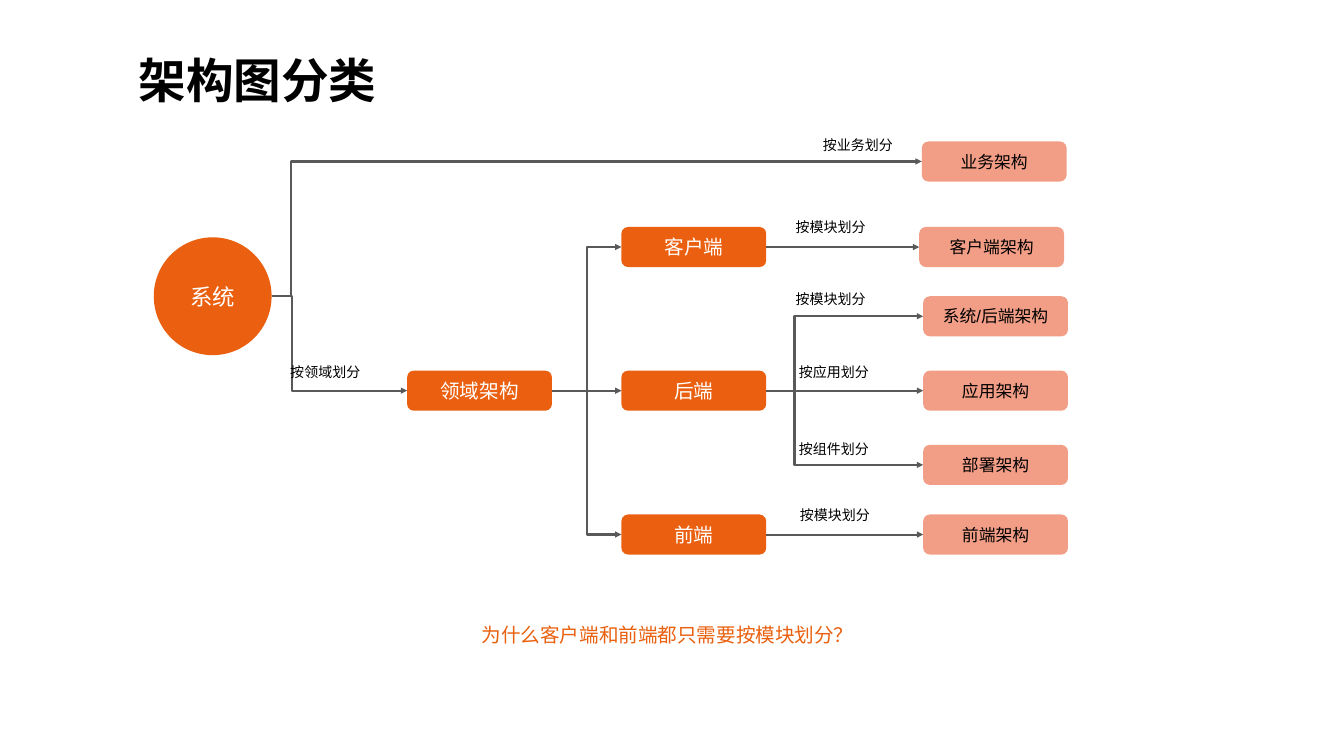
import pptx
import pptx.dml.color
import pptx.enum.shapes
import pptx.enum.text
import pptx.oxml
import pptx.oxml.ns
import pptx.util
from dataclasses import dataclass
from pptx.util import Cm

ANCHOR = pptx.enum.text.MSO_ANCHOR
ALIGN = pptx.enum.text.PP_ALIGN
SHAPE = pptx.enum.shapes.MSO_SHAPE
CONNECTOR = pptx.enum.shapes.MSO_CONNECTOR


@dataclass(frozen=True)
class Theme:
    primary: str = "EA6010"
    soft: str = "F29D86"
    line: str = "595959"
    dark: str = "000000"
    light: str = "FFFFFF"
    question: str = "E9600E"
    font: str = "Roboto"
    leaf_font: str = "Arial"
    title_size: int = 68
    root_size: int = 32
    branch_size: int = 28
    leaf_size: int = 24
    label_size: int = 20
    line_width: int = 3


THEME = Theme()

# Content; all lengths are in centimetres
TITLE = "架构图分类"
QUESTION = "为什么客户端和前端都只需要按模块划分？"
ROOT = "系统"
ROOT_BOX = (7.75, 11.96, 5.94, 5.94)
NODE_WIDTH, NODE_HEIGHT = 7.3, 2.02
ROWS = {"business": 8.14, "client": 12.45, "system": 15.94,
        "middle": 19.69, "deploy": 23.43, "front": 26.94}

# text, left, row
BRANCHES = [
    ("领域架构", 20.52, "middle"),
    ("客户端", 31.32, "client"),
    ("后端", 31.32, "middle"),
    ("前端", 31.32, "front"),
]
# text, left, row, font
LEAVES = [
    ("业务架构", 46.46, "business", THEME.font),
    ("客户端架构", 46.33, "client", THEME.leaf_font),
    ("系统/后端架构", 46.53, "system", THEME.leaf_font),
    ("应用架构", 46.53, "middle", THEME.leaf_font),
    ("部署架构", 46.53, "deploy", THEME.leaf_font),
    ("前端架构", 46.53, "front", THEME.leaf_font),
]
# start, end, position of the bend as a share of the width (None: straight)
LINKS = [
    ("系统", "业务架构", 0.03),
    ("系统", "领域架构", 0.15),
    ("领域架构", "客户端", 0.5),
    ("领域架构", "后端", None),
    ("领域架构", "前端", 0.5),
    ("客户端", "客户端架构", None),
    ("后端", "系统/后端架构", 0.18),
    ("后端", "应用架构", None),
    ("后端", "部署架构", 0.18),
    ("前端", "前端架构", None),
]
LABEL_WIDTH, LABEL_HEIGHT = 6.58, 1.6
# text, left, top, alignment
LABELS = [
    ("按业务划分", 39.95, 6.48, ALIGN.CENTER),
    ("按领域划分", 14.48, 17.96, ALIGN.LEFT),
    ("按模块划分", 39.95, 10.62, ALIGN.LEFT),
    ("按模块划分", 39.95, 14.25, ALIGN.LEFT),
    ("按应用划分", 40.11, 17.96, ALIGN.LEFT),
    ("按组件划分", 40.11, 21.82, ALIGN.LEFT),
    ("按模块划分", 40.16, 25.17, ALIGN.LEFT),
]


def color(value):
    return pptx.dml.color.RGBColor.from_string(value)


def write(shape, text, size, ink, font=THEME.font, align=ALIGN.LEFT,
          anchor=ANCHOR.MIDDLE, inset=0.15, bold=False):
    frame = shape.text_frame
    frame.text = text
    frame.word_wrap = True
    frame.auto_size = pptx.enum.text.MSO_AUTO_SIZE.NONE
    frame.vertical_anchor = anchor
    frame.margin_left = frame.margin_right = Cm(inset)
    frame.margin_top = frame.margin_bottom = Cm(inset)
    paragraph = frame.paragraphs[0]
    paragraph.alignment = align
    run_font = paragraph.runs[0].font
    run_font.name = font
    run_font.size = pptx.util.Pt(size)
    run_font.bold = bold
    run_font.color.rgb = color(ink)


def add_node(slide, kind, box, text, fill, size, ink, font=THEME.font):
    shape = slide.shapes.add_shape(kind, *map(Cm, box))
    shape.shadow.inherit = False
    shape.fill.solid()
    shape.fill.fore_color.rgb = color(fill)
    shape.line.fill.background()
    write(shape, text, size, ink, font, ALIGN.CENTER, inset=0)
    return shape


def add_text(slide, box, *args, **options):
    write(slide.shapes.add_textbox(*map(Cm, box)), *args, **options)


def add_link(slide, start, end, bend):
    """Arrow from the right side of start to the left side of end."""
    kind = CONNECTOR.STRAIGHT if bend is None else CONNECTOR.ELBOW
    connector = slide.shapes.add_connector(
        kind, start.left + start.width, start.top + start.height // 2,
        end.left, end.top + end.height // 2)
    connector.line.color.rgb = color(THEME.line)
    connector.line.width = pptx.util.Pt(THEME.line_width)
    line = connector.line._get_or_add_ln()
    pptx.oxml.ns.qn("a:tailEnd")
    line.append(pptx.oxml.parse_xml(
        f'<a:tailEnd {pptx.oxml.ns.nsdecls("a")} type="triangle"/>'))
    properties = connector._element.spPr
    properties.append(pptx.oxml.parse_xml(
        f'<a:effectLst {pptx.oxml.ns.nsdecls("a")}/>'))
    if bend is None:
        connector.begin_connect(start, 3)
        connector.end_connect(end, 1)
    else:
        guides = properties.find(".//" + pptx.oxml.ns.qn("a:avLst"))
        guides.append(pptx.oxml.parse_xml(
            f'<a:gd {pptx.oxml.ns.nsdecls("a")} name="adj1" '
            f'fmla="val {round(bend * 100000)}"/>'))


def node_box(left, row):
    return left, ROWS[row] - NODE_HEIGHT / 2, NODE_WIDTH, NODE_HEIGHT


def main():
    presentation = pptx.Presentation()
    presentation.slide_width = Cm(67.74)
    presentation.slide_height = Cm(38.1)
    slide = presentation.slides.add_slide(presentation.slide_layouts[5])

    title = slide.shapes.title
    title.left, title.top, title.width, title.height = map(
        Cm, (6.83, 2.72, 46.56, 3.63))
    write(title, TITLE, THEME.title_size, THEME.dark,
          anchor=ANCHOR.TOP, bold=True)
    title.text_frame.paragraphs[0].line_spacing = 0.9

    nodes = {ROOT: add_node(slide, SHAPE.FLOWCHART_CONNECTOR, ROOT_BOX, ROOT,
                            THEME.primary, THEME.root_size, THEME.light)}
    for text, left, row in BRANCHES:
        nodes[text] = add_node(
            slide, SHAPE.FLOWCHART_ALTERNATE_PROCESS, node_box(left, row),
            text, THEME.primary, THEME.branch_size, THEME.light)
    for text, left, row, font in LEAVES:
        nodes[text] = add_node(
            slide, SHAPE.FLOWCHART_ALTERNATE_PROCESS, node_box(left, row),
            text, THEME.soft, THEME.leaf_size, THEME.dark, font)

    for start, end, bend in LINKS:
        add_link(slide, nodes[start], nodes[end], bend)
    for text, left, top, align in LABELS:
        add_text(slide, (left, top, LABEL_WIDTH, LABEL_HEIGHT), text,
                 THEME.label_size, THEME.dark, align=align)
    add_text(slide, (24.13, 31.09, 25.78, 1.78), QUESTION,
             THEME.branch_size, THEME.question)

    presentation.save("out.pptx")


if __name__ == "__main__":
    main()
